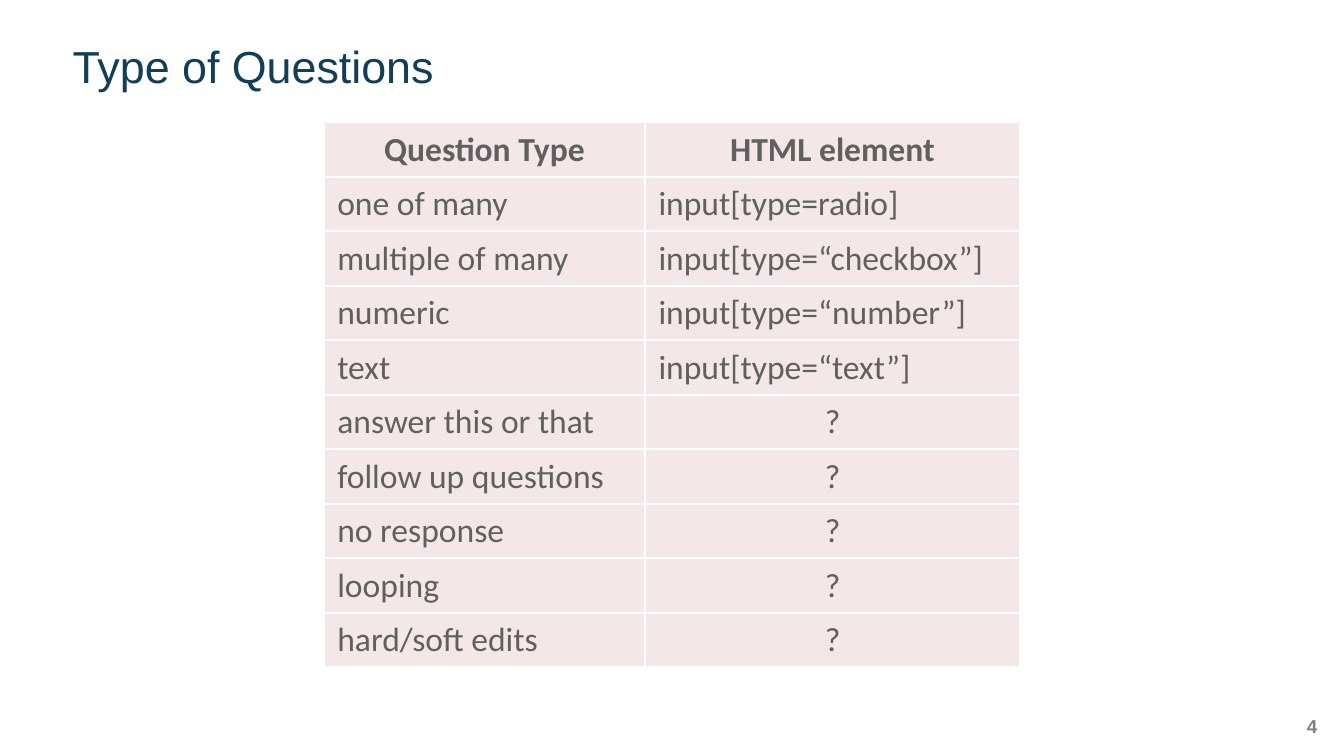
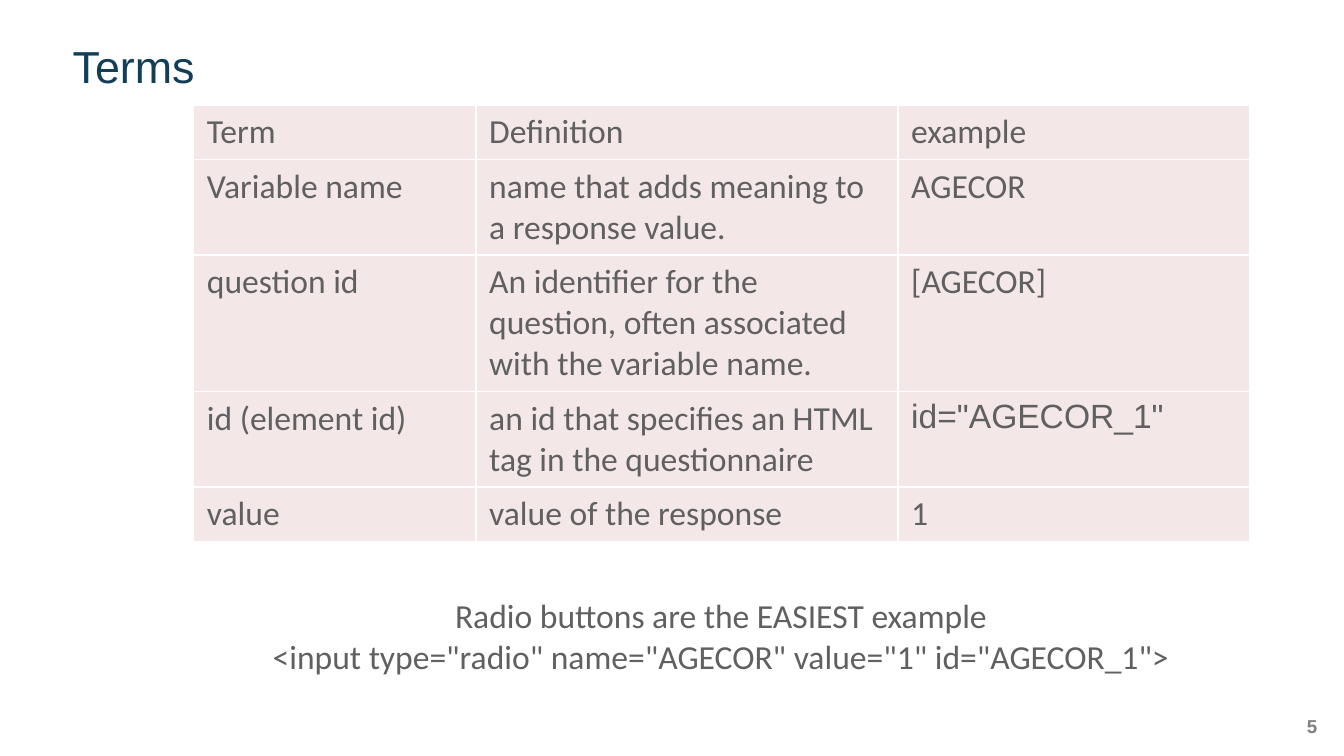
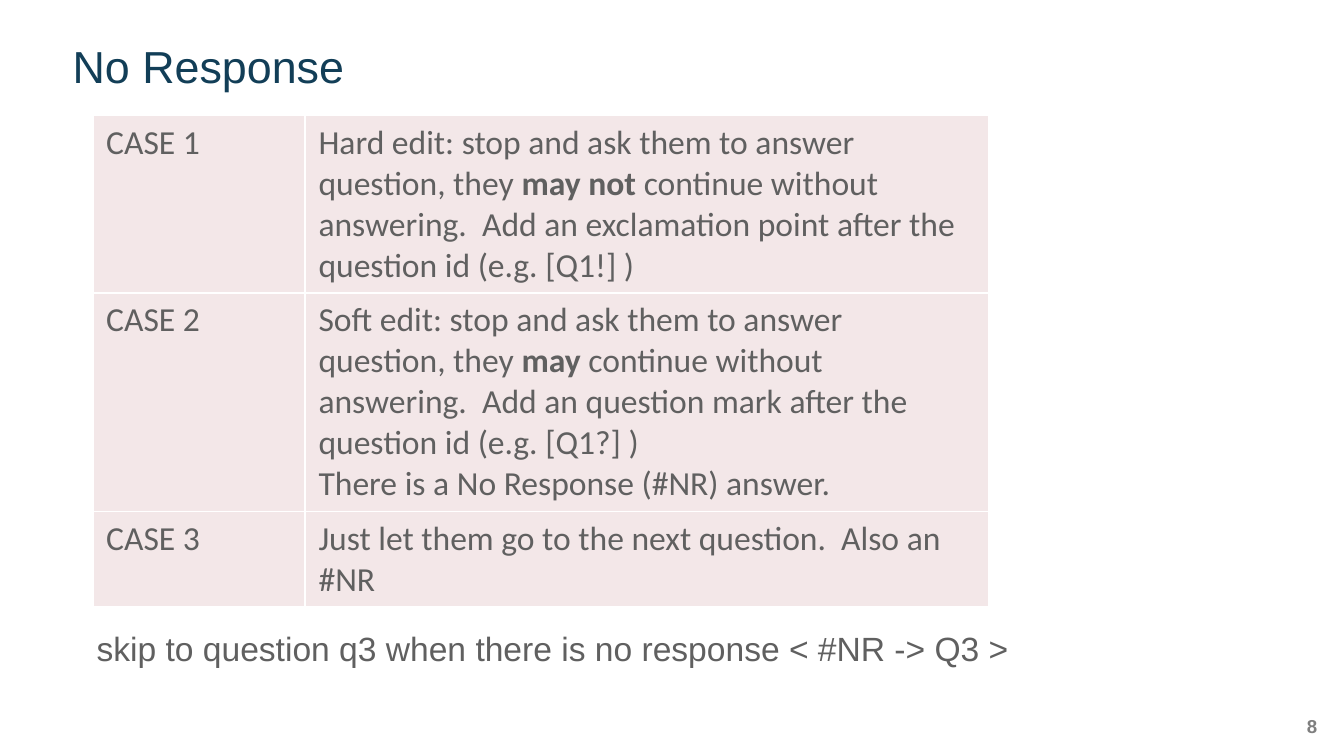
"""Builds three slides of tables on questionnaire question types, terms and missing responses."""
from lxml import etree
from pptx import Presentation
from pptx.dml.color import RGBColor
from pptx.enum.text import MSO_ANCHOR, MSO_AUTO_SIZE, PP_ALIGN
from pptx.oxml.ns import qn
from pptx.util import Inches, Pt

LEFT, CENTER, RIGHT = PP_ALIGN.LEFT, PP_ALIGN.CENTER, PP_ALIGN.RIGHT
BOTTOM, TOP = MSO_ANCHOR.BOTTOM, MSO_ANCHOR.TOP
NO_FIT = MSO_AUTO_SIZE.NONE

NAVY = RGBColor(0x12, 0x3E, 0x57)
GRAY = RGBColor(0x60, 0x60, 0x60)
LIGHT_GRAY = RGBColor(0x7F, 0x7F, 0x7F)
PINK = RGBColor(0xF3, 0xE7, 0xE8)
WHITE = RGBColor(0xFF, 0xFF, 0xFF)

TITLE_FONT, BODY_FONT = "Arial", "Calibri"
BODY_SIZE = 18
ROW_HEIGHT = 0.4
SLIDE_WIDTH = Inches(10)
SLIDE_HEIGHT = SLIDE_WIDTH * 9 // 16
TITLE_BOX = (0.54, 0.34, 8.93, 0.35)
NUMBER_BOX = (9.46, 5.32, 0.34, 0.2)
BOLD = "**"

SLIDES = [
    {
        "title": "Type of Questions",
        "number": 4,
        "at": (2.41, 0.91),
        "columns": (2.39, 2.79),
        "centered": ("**Question Type**", "**HTML element**", "?"),
        "rows": [
            ("**Question Type**", "**HTML element**"),
            ("one of many", "input[type=radio]"),
            ("multiple of many", "input[type=“checkbox”]"),
            ("numeric", "input[type=“number”]"),
            ("text", "input[type=“text”]"),
            ("answer this or that", "?"),
            ("follow up questions", "?"),
            ("no response", "?"),
            ("looping", "?"),
            ("hard/soft edits", "?"),
        ],
    },
    {
        "title": "Terms",
        "number": 5,
        "at": (1.44, 0.78),
        "columns": (2.1, 3.14, 2.62),
        "arial": ('id="AGECOR_1"',),
        "rows": [
            ("Term", "Definition", "example"),
            ("Variable name", "name that adds meaning to a response value.", "AGECOR"),
            ("question id",
             "An identifier for the question, often associated with the variable name.",
             "[AGECOR]"),
            ("id (element id)", "an id that specifies an HTML tag in the questionnaire",
             'id="AGECOR_1"'),
            ("value", "value of the response", "1"),
        ],
        "note": {
            "text": "Radio buttons are the EASIEST example\n"
                    '<input type="radio" name="AGECOR" value="1" id="AGECOR_1">',
            "box": (1.89, 4.38, 6.95, 0.71),
            "font": BODY_FONT,
            "align": CENTER,
        },
    },
    {
        "title": "No Response",
        "number": 8,
        "at": (0.69, 0.86),
        "columns": (1.58, 5.09),
        "rows": [
            ("CASE 1",
             "Hard edit: stop and ask them to answer question, they **may not **continue "
             "without answering.  Add an exclamation point after the question id (e.g. [Q1!] )"),
            ("CASE 2",
             "Soft edit: stop and ask them to answer question, they **may** continue "
             "without answering.  Add an question mark after the question id (e.g. [Q1?] )\n"
             "There is a No Response (#NR) answer."),
            ("CASE 3", "Just let them go to the next question.  Also an #NR"),
        ],
        "note": {
            "text": "skip to question q3 when there is no response < #NR -> Q3 >",
            "box": (0.62, 4.62, 7.05, 0.4),
            "font": TITLE_FONT,
            "align": LEFT,
        },
    },
]


def write(tf, text, font=BODY_FONT, size=BODY_SIZE, color=GRAY, align=LEFT):
    """Fills a text frame, one paragraph a line, with bold parts between markers."""
    for i, line in enumerate(text.split("\n")):
        p = tf.add_paragraph() if i else tf.paragraphs[0]
        p.alignment = align
        p.font.name, p.font.size, p.font.color.rgb = font, Pt(size), color
        for j, part in enumerate(line.split(BOLD)):
            if part:
                r = p.add_run()
                r.text = part
                r.font.bold = j % 2 == 1


def clear_margins(tf):
    """Removes the insets of a text frame."""
    tf.margin_left = tf.margin_right = tf.margin_top = tf.margin_bottom = 0


def add_text(slide, box, text, wrap=False, **style):
    """Adds a text box and returns its frame."""
    tf = slide.shapes.add_textbox(*map(Inches, box)).text_frame
    tf.word_wrap = wrap
    write(tf, text, **style)
    return tf


def set_title(slide, text):
    """Places and formats the title placeholder."""
    sp = slide.shapes.title
    sp.left, sp.top, sp.width, sp.height = map(Inches, TITLE_BOX)
    tf = sp.text_frame
    clear_margins(tf)
    tf.auto_size, tf.vertical_anchor = NO_FIT, BOTTOM
    write(tf, text, TITLE_FONT, 24, NAVY)
    tf.paragraphs[0].line_spacing = 0.9


def set_borders(cell):
    """Draws a white one-point line on each side of a cell."""
    props = cell._tc.get_or_add_tcPr()
    for side in ("lnL", "lnR", "lnT", "lnB"):
        line = etree.SubElement(props, qn(f"a:{side}"), w=str(Pt(1)))
        fill = etree.SubElement(line, qn("a:solidFill"))
        etree.SubElement(fill, qn("a:srgbClr"), val=str(WHITE))


def add_table(slide, rows, at, columns, centered=(), arial=()):
    """Adds a table of evenly filled cells."""
    size = sum(columns), ROW_HEIGHT * len(rows)
    table = slide.shapes.add_table(
        len(rows), len(columns), *map(Inches, at + size)).table
    table.first_row = table.horz_banding = False
    for column, width in zip(table.columns, columns):
        column.width = Inches(width)
    for i, row in enumerate(rows):
        for j, text in enumerate(row):
            cell = table.cell(i, j)
            set_borders(cell)
            cell.fill.solid()
            cell.fill.fore_color.rgb = PINK
            cell.vertical_anchor = TOP
            write(cell.text_frame, text,
                  font=TITLE_FONT if text in arial else BODY_FONT,
                  align=CENTER if text in centered else LEFT)


def main():
    """Builds and saves the slides."""
    prs = Presentation()
    prs.slide_width, prs.slide_height = SLIDE_WIDTH, SLIDE_HEIGHT
    for content in SLIDES:
        slide = prs.slides.add_slide(prs.slide_layouts[5])
        set_title(slide, content["title"])
        add_table(slide, content["rows"], content["at"], content["columns"],
                  content.get("centered", ()), content.get("arial", ()))
        if "note" in content:
            add_text(slide, **content["note"])
        number = f"{BOLD}{content['number']}{BOLD}"
        clear_margins(add_text(slide, NUMBER_BOX, number, wrap=True, font=TITLE_FONT,
                               size=10, color=LIGHT_GRAY, align=RIGHT))
    prs.save("out.pptx")


if __name__ == "__main__":
    main()
